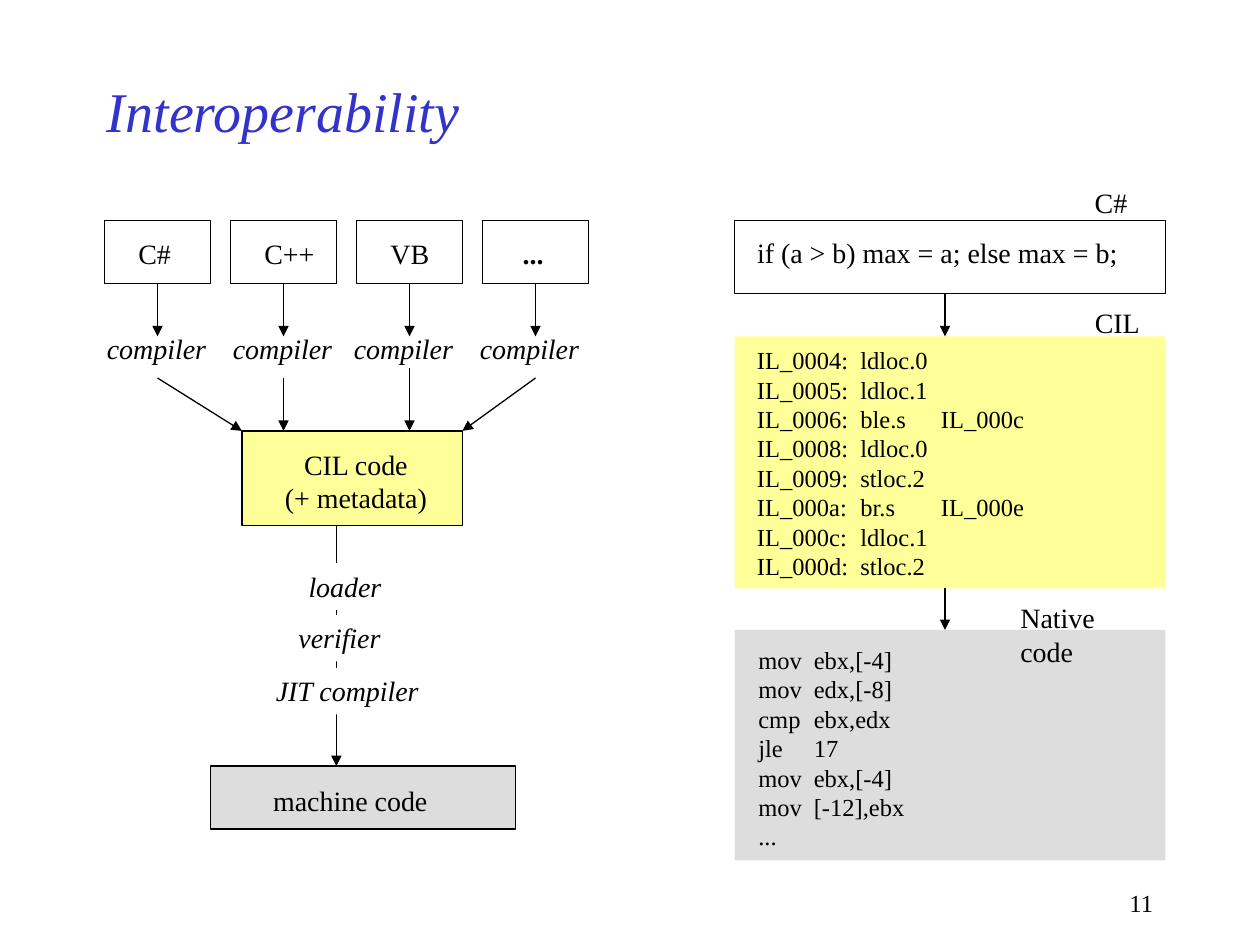
from dataclasses import dataclass

from lxml import etree
from pptx import Presentation
from pptx.dml.color import RGBColor
from pptx.enum.shapes import MSO_CONNECTOR, MSO_SHAPE
from pptx.enum.text import MSO_ANCHOR, MSO_AUTO_SIZE, PP_ALIGN
from pptx.oxml.ns import qn
from pptx.shapes.autoshape import Shape
from pptx.shapes.connector import Connector
from pptx.shapes.shapetree import SlideShapes
from pptx.util import Inches, Pt

RECT = MSO_SHAPE.RECTANGLE
LINE = MSO_CONNECTOR.STRAIGHT
GROW = MSO_AUTO_SIZE.SHAPE_TO_FIT_TEXT
FIXED = MSO_AUTO_SIZE.NONE
MIDDLE = MSO_ANCHOR.MIDDLE
LEFT, CENTER, RIGHT = PP_ALIGN.LEFT, PP_ALIGN.CENTER, PP_ALIGN.RIGHT

FONT = "Times New Roman"
BLACK, WHITE, BLUE = "000000", "FFFFFF", "3333CC"
YELLOW, GRAY = "FFFF99", "DDDDDD"
BOTTOM = 2
ROW = 0.37

CIL_CODE = """IL_0004:\tldloc.0
IL_0005:\tldloc.1
IL_0006:\tble.s\tIL_000c
IL_0008:\tldloc.0
IL_0009:\tstloc.2
IL_000a:\tbr.s\tIL_000e
IL_000c:\tldloc.1
IL_000d:\tstloc.2"""

CPU_CODE = """mov\tebx,[-4]
mov\tedx,[-8]
cmp\tebx,edx
jle\t17
mov\tebx,[-4]
mov\t[-12],ebx
..."""


@dataclass(frozen=True)
class Box:
    x: float
    y: float
    w: float
    h: float
    fill: str = ""
    line: str = ""


@dataclass(frozen=True)
class Label:
    x: float
    y: float
    w: float
    text: str
    h: float = ROW
    size: int = 16
    color: str = BLACK
    bold: bool = False
    italic: bool = False
    align: PP_ALIGN = LEFT
    fill: str = ""
    wrap: bool = False
    tabs: tuple[float, ...] = ()


@dataclass(frozen=True)
class Source:
    name: str
    x: float
    w: float
    step: float
    start: float
    end: float
    bold: bool = False


def paint(value: str) -> RGBColor:
    return RGBColor.from_string(value)


def add_box(shapes: SlideShapes, box: Box) -> Shape:
    shape = shapes.add_shape(RECT, Inches(box.x), Inches(box.y), Inches(box.w), Inches(box.h))
    shape.shadow.inherit = False
    if box.fill:
        shape.fill.solid()
        shape.fill.fore_color.rgb = paint(box.fill)
    else:
        shape.fill.background()
    if box.line:
        shape.line.color.rgb = paint(box.line)
        shape.line.width = Pt(0.75)
    else:
        shape.line.fill.background()
    return shape


def add_label(shapes: SlideShapes, label: Label) -> Shape:
    shape = shapes.add_textbox(Inches(label.x), Inches(label.y), Inches(label.w), Inches(label.h))
    if label.fill:
        shape.fill.solid()
        shape.fill.fore_color.rgb = paint(label.fill)
    frame = shape.text_frame
    frame.text = label.text
    frame.word_wrap = label.wrap
    frame.auto_size = FIXED if label.wrap else GROW
    for para in frame.paragraphs:
        para.alignment = label.align
        if label.tabs:
            stops = etree.SubElement(para._p.get_or_add_pPr(), qn("a:tabLst"))
            for stop in label.tabs:
                etree.SubElement(stops, qn("a:tab"), pos=str(Inches(stop)), algn="l")
        for run in para.runs:
            font = run.font
            font.name, font.size = FONT, Pt(label.size)
            font.bold, font.italic = label.bold, label.italic
            font.color.rgb = paint(label.color)
    return shape


def add_arrow(shapes: SlideShapes, x: float, y: float, end_x: float, end_y: float) -> Connector:
    arrow = shapes.add_connector(LINE, Inches(x), Inches(y), Inches(end_x), Inches(end_y))
    arrow.line.color.rgb = paint(BLACK)
    arrow.line.width = Pt(0.75)
    etree.SubElement(arrow.line._get_or_add_ln(), qn("a:tailEnd"), type="triangle")
    etree.SubElement(arrow._element.spPr, qn("a:effectLst"))
    return arrow


def draw_flow(shapes: SlideShapes) -> None:
    sources = (
        Source("C#", 1, 0.5, 0.75, 3, 1.92),
        Source("C++", 2, 0.64, 1.75, 3, 2.25),
        Source("VB", 3, 0.55, 2.71, 2.92, 3.25),
        Source("...", 4.05, 0.42, 3.71, 3, 3.67, bold=True),
    )
    add_box(shapes, Box(1.92, 3.42, 1.75, 0.75, YELLOW, BLACK))
    add_label(shapes, Label(2.14, 3.5, 1.37, "CIL code\n(+ metadata)", h=0.64, align=CENTER))
    for i, item in enumerate(sources):
        mid = 1.25 + i
        box = add_box(shapes, Box(0.83 + i, 1.75, 0.84, 0.5, line=BLACK))
        add_label(shapes, Label(item.x, 1.83, item.w, item.name, bold=item.bold))
        add_label(shapes, Label(item.step, 2.58, 1.02, "compiler", italic=True))
        add_arrow(shapes, mid, 2.25, mid, 2.67).begin_connect(box, BOTTOM)
        add_arrow(shapes, mid, item.start, item.end, 3.42)

    add_box(shapes, Box(1.67, 6.08, 2.42, 0.5, GRAY, BLACK))
    add_label(shapes, Label(2.07, 6.17, 1.5, "machine code"))
    add_arrow(shapes, 2.67, 4.17, 2.67, 6.08)
    for x, y, w, text in (
        (2.35, 4.47, 0.82, "loader"),
        (2.27, 4.88, 0.89, "verifier"),
        (2.09, 5.3, 1.38, "JIT compiler"),
    ):
        add_label(shapes, Label(x, y, w, text, italic=True, fill=WHITE))


def draw_code(shapes: SlideShapes) -> None:
    for box in (
        Box(5.83, 1.75, 3.42, 0.58, line=BLACK),
        Box(5.83, 2.67, 3.42, 2, YELLOW),
        Box(5.83, 5, 3.42, 1.83, GRAY),
    ):
        add_box(shapes, box)
    for label in (
        Label(5.91, 1.82, 3.12, "if (a > b) max = a; else max = b;"),
        Label(5.91, 2.69, 2.4, CIL_CODE, h=1.97, size=14, tabs=(0.82, 1.46)),
        Label(5.92, 5.07, 1.42, CPU_CODE, h=1.74, size=14, tabs=(0.44,)),
        Label(8.59, 1.42, 0.5, "C#"),
        Label(8.59, 2.38, 0.62, "CIL"),
        Label(8, 4.72, 1.25, "Native code"),
    ):
        add_label(shapes, label)
    for top, end in ((2.33, 2.67), (4.67, 5)):
        add_arrow(shapes, 7.5, top, 7.5, end)


def main() -> None:
    deck = Presentation()
    deck.slide_width, deck.slide_height = Inches(10), Inches(7.5)
    shapes = deck.slides.add_slide(deck.slide_layouts[6]).shapes
    title = Label(0.75, 0.5, 7.5, "Interoperability", h=0.75, size=32, color=BLUE, italic=True, wrap=True)
    add_label(shapes, title).text_frame.vertical_anchor = MIDDLE
    draw_flow(shapes)
    draw_code(shapes)
    add_label(shapes, Label(7.17, 7, 2.08, "11", h=0.33, size=14, align=RIGHT, wrap=True))
    deck.save("out.pptx")


if __name__ == "__main__":
    main()
